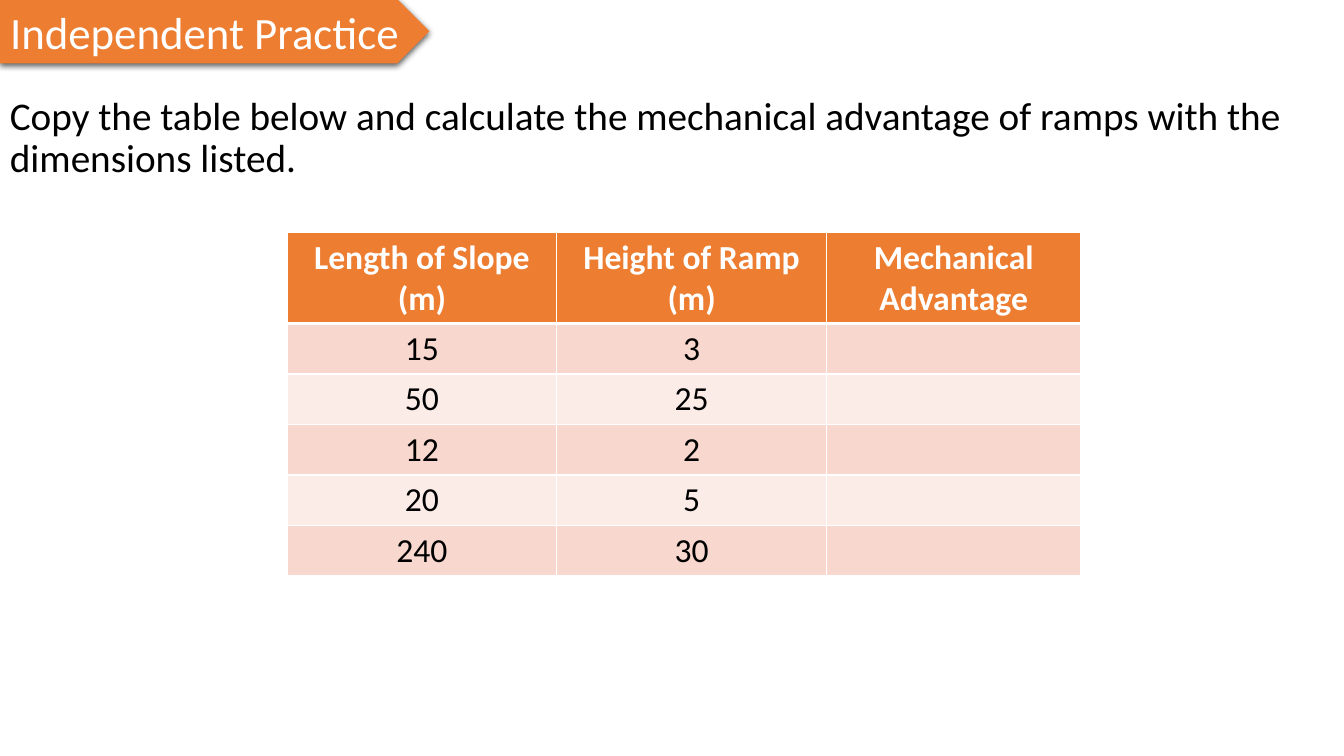
from dataclasses import dataclass

from lxml import etree
from pptx import Presentation
from pptx.dml.color import RGBColor
from pptx.enum import shapes, text
from pptx.oxml import ns, parse_xml
from pptx.util import Inches, Pt


@dataclass(frozen=True)
class Theme:
    font: str = "Calibri"
    accent: str = "ED7D31"
    bands: tuple = ("F8D7CE", "FCECE8")
    light: str = "FFFFFF"
    dark: str = "000000"
    title: int = 32
    body: int = 28
    cell: int = 24


THEME = Theme()
HEADERS = ("Length of Slope (m)", "Height of Ramp (m)", "Mechanical Advantage")
RAMPS = ((15, 3), (50, 25), (12, 2), (20, 5), (240, 30))


def style(p, size, color, bold=False):
    for r in p.runs:
        r.font.name = THEME.font
        r.font.size = Pt(size)
        r.font.bold = bold
        r.font.color.rgb = RGBColor.from_string(color)


def add_shadow(s):
    s.shadow.inherit = False
    effects = s._element.spPr.find(ns.qn("a:effectLst"))
    effects.append(parse_xml(
        f'<a:outerShdw {ns.nsdecls("a")} blurRad="{Pt(4.5)}" dist="{Pt(1.5)}" '
        f'dir="5400000" rotWithShape="0"><a:srgbClr val="{THEME.dark}">'
        '<a:alpha val="63000"/></a:srgbClr></a:outerShdw>'))


def add_banner(slide, title, left, top, width, height):
    """Place the slide title on an arrow-ended banner."""
    box = [Inches(v) for v in (left, top, width, height)]
    banner = slide.shapes.add_shape(shapes.MSO_SHAPE.PENTAGON, *box)
    banner.fill.solid()
    banner.fill.fore_color.rgb = RGBColor.from_string(THEME.accent)
    banner.line.fill.background()
    add_shadow(banner)

    s = slide.shapes.title
    s.left, s.top, s.width, s.height = box
    banner._element.addnext(s._element)
    tf = s.text_frame
    tf.text = title
    tf.word_wrap = False
    tf.auto_size = text.MSO_AUTO_SIZE.NONE
    tf.vertical_anchor = text.MSO_ANCHOR.MIDDLE
    p = tf.paragraphs[0]
    p.alignment = text.PP_ALIGN.LEFT
    style(p, THEME.title, THEME.light)


def add_instruction(slide, wording, left, top, width, height):
    s = slide.shapes.add_textbox(*[Inches(v) for v in (left, top, width, height)])
    tf = s.text_frame
    tf.word_wrap = True
    tf.text = wording
    p = tf.paragraphs[0]
    p.line_spacing = 0.9
    style(p, THEME.body, THEME.dark)


def set_borders(cell, bottom):
    tc_pr = cell._tc.get_or_add_tcPr()
    for i, (side, points) in enumerate(zip("LRTB", (1, 1, 1, bottom))):
        ln = parse_xml(f'<a:ln{side} {ns.nsdecls("a")} w="{Pt(points)}"/>')
        fill = etree.SubElement(ln, ns.qn("a:solidFill"))
        etree.SubElement(fill, ns.qn("a:srgbClr"), val=THEME.light)
        tc_pr.insert(i, ln)


def add_ramp_table(slide, left, top, col_widths, header_height, row_height):
    rows = [HEADERS] + [(length, height, "") for length, height in RAMPS]
    total_height = header_height + row_height * len(RAMPS)
    table = slide.shapes.add_table(
        len(rows), len(HEADERS), Inches(left), Inches(top),
        Inches(sum(col_widths)), Inches(total_height)).table
    for col, width in zip(table.columns, col_widths):
        col.width = Inches(width)
    for i, values in enumerate(rows):
        header = i == 0
        table.rows[i].height = Inches(header_height if header else row_height)
        fill = THEME.accent if header else THEME.bands[(i - 1) % 2]
        for cell, value in zip(table.rows[i].cells, values):
            cell.text = str(value)
            cell.fill.solid()
            cell.fill.fore_color.rgb = RGBColor.from_string(fill)
            set_borders(cell, 3 if header else 1)
            p = cell.text_frame.paragraphs[0]
            p.alignment = text.PP_ALIGN.CENTER
            style(p, THEME.cell, THEME.light if header else THEME.dark, header)


def main():
    prs = Presentation()
    prs.slide_width, prs.slide_height = Inches(13.33), Inches(7.5)
    slide = prs.slides.add_slide(prs.slide_layouts[5])
    add_banner(slide, "Independent Practice", 0, -0.01, 4.26, 0.64)
    add_instruction(
        slide,
        "Copy the table below and calculate the mechanical advantage of ramps "
        "with the dimensions listed.",
        0, 0.91, 12.95, 1)
    add_ramp_table(slide, 2.85, 2.31, (2.67, 2.68, 2.52), 0.9, 0.5)
    prs.save("out.pptx")


if __name__ == "__main__":
    main()
